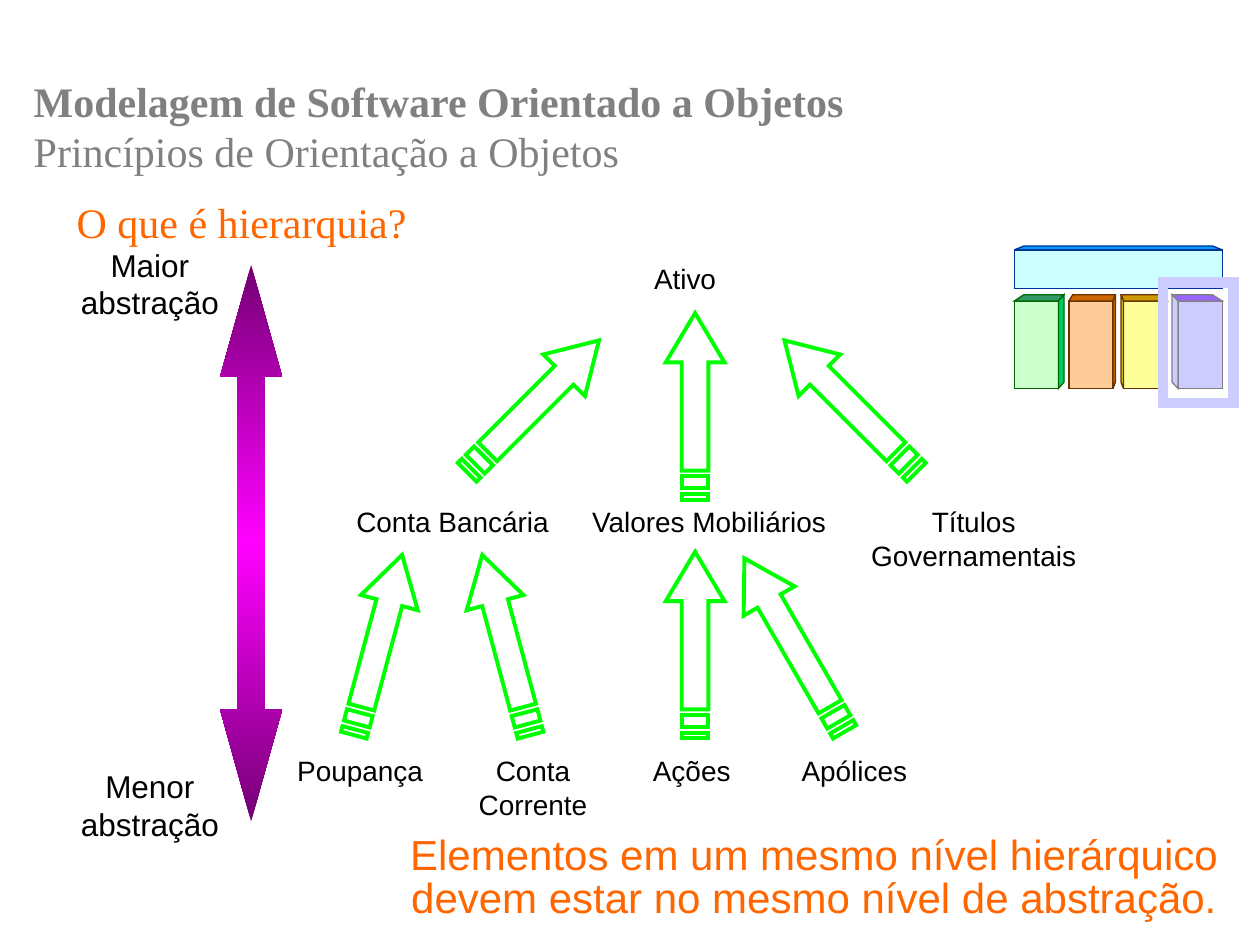
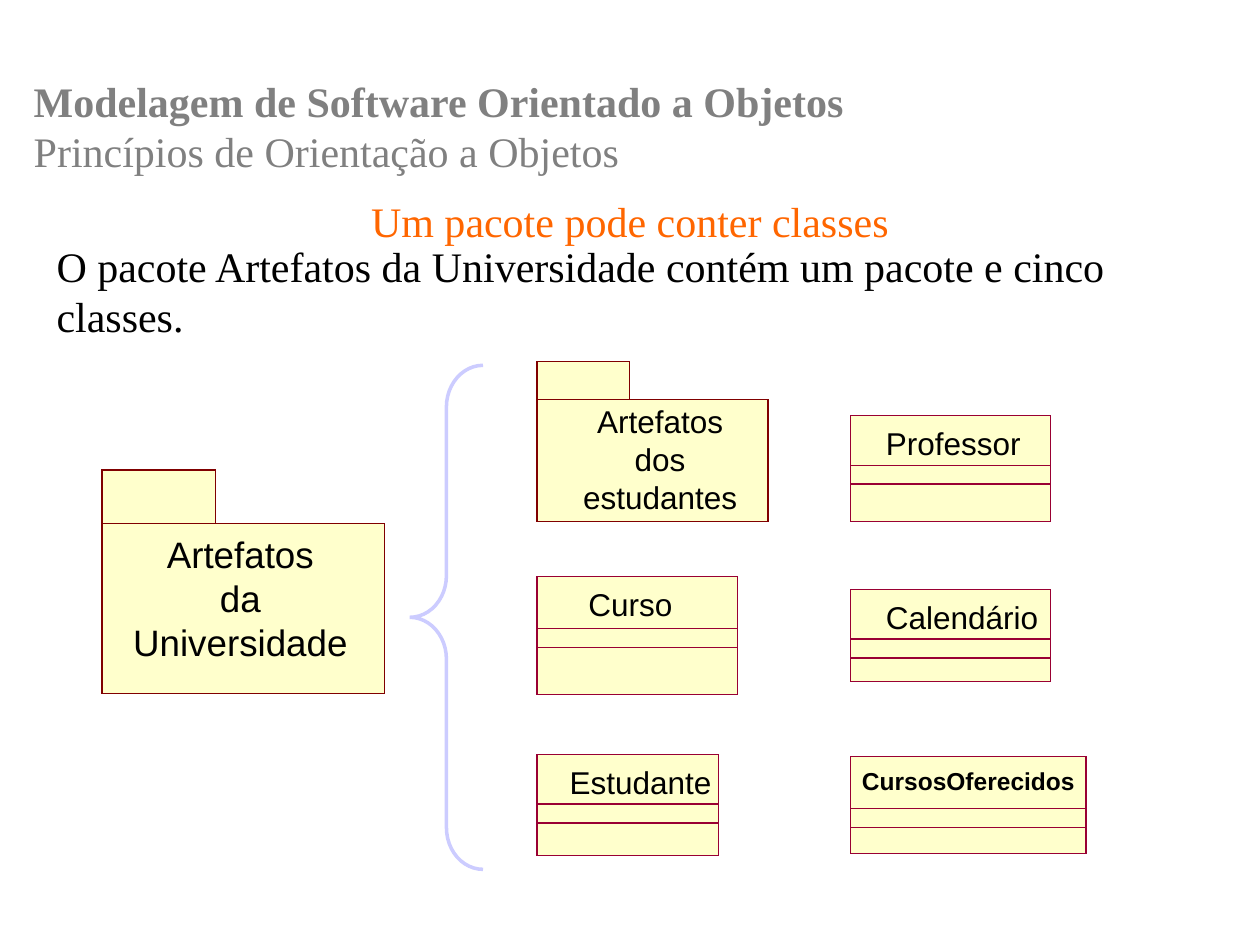
from copy import deepcopy

from lxml.etree import SubElement
from pptx import Presentation
from pptx.dml.color import RGBColor
from pptx.enum.shapes import MSO_SHAPE
from pptx.enum.text import MSO_ANCHOR, PP_ALIGN
from pptx.oxml.ns import qn
from pptx.util import Pt

COLORS = {
    "black": "000000", "white": "FFFFFF", "gray": "808080", "orange": "FF6600",
    "arrow": "00FF00", "scale_end": "750075", "scale_middle": "FF00FF",
    "lilac": "CCCCFF", "note": "FFFFCC", "package_line": "800000",
    "class_line": "990033",
}
SANS, SERIF = "Arial", "Times New Roman"


def color(name):
    """Accept a palette name or a hex string."""
    return RGBColor.from_string(COLORS.get(name, name))


# Basic elements
def add_text(page, text, left, top, width, height, size=18, font=SANS, ink="black",
             bold=False, align=PP_ALIGN.LEFT, anchor=MSO_ANCHOR.TOP,
             inset=(0, 0), spacing=None):
    box = page.shapes.add_textbox(Pt(left), Pt(top), Pt(width), Pt(height))
    frame = box.text_frame
    frame.word_wrap = True
    frame.vertical_anchor = anchor
    frame.margin_left = frame.margin_right = Pt(inset[0])
    frame.margin_top = frame.margin_bottom = Pt(inset[1])
    para = frame.paragraphs[0]
    para.text = text.replace("\n", "\v")
    para.alignment = align
    if spacing:
        para.line_spacing = spacing
    for span in para.runs:
        span.font.name = font
        span.font.size = Pt(size)
        span.font.bold = bold
        span.font.color.rgb = color(ink)
    return box


def style(shape, fill=None, line=None, weight=0):
    shape.shadow.inherit = False
    if fill:
        shape.fill.solid()
        shape.fill.fore_color.rgb = color(fill)
    else:
        shape.fill.background()
    if line:
        shape.line.color.rgb = color(line)
        shape.line.width = Pt(weight)
        # Sharp corners
        outline = shape._element.spPr.find(qn("a:ln"))
        SubElement(outline, qn("a:miter")).set("lim", "800000")
    else:
        shape.line.fill.background()


def add_preset(page, kind, left, top, width, height, **look):
    shape = page.shapes.add_shape(kind, Pt(left), Pt(top), Pt(width), Pt(height))
    style(shape, **look)
    return shape


def add_rect(page, left, top, width, height, **look):
    return add_preset(page, MSO_SHAPE.RECTANGLE, left, top, width, height, **look)


def add_outline(page, contours, **look):
    """Draw one freeform out of closed contours."""
    contours = [[(Pt(x), Pt(y)) for x, y in contour] for contour in contours]
    builder = page.shapes.build_freeform(*contours[0][0])
    for index, contour in enumerate(contours):
        if index:
            builder.move_to(*contour[0])
        builder.add_line_segments(contour[1:], close=True)
    shape = builder.convert_to_shape()
    style(shape, **look)
    return shape


def add_page(deck):
    """Add a page with the shared course title."""
    page = deck.slides.add_slide(deck.slide_layouts[6])
    box = add_text(page, "Modelagem de Software Orientado a Objetos\n"
                   "Princípios de Orientação a Objetos",
                   12.2, 29.8, 600, 84.2, size=24, font=SERIF, ink="gray",
                   anchor=MSO_ANCHOR.MIDDLE, inset=(7.2, 3.6))
    box.text_frame.paragraphs[0].runs[0].font.bold = True
    return page


# Elements of the hierarchy page
def add_block(page, left, top, width, height, front, roof, side, line,
              lean, inset, reach, depth=3.6):
    """Draw a box in perspective; lean is 1 to the right, -1 to the left."""
    look = {"line": line, "weight": 0.75}
    near, far = (left, left + width)[::lean]
    back = top - depth
    add_rect(page, left, top, width, height, fill=front, **look)
    add_outline(page, [[(near, top), (near + lean * inset, back),
                        (far + lean * reach, back), (far, top)]], fill=roof, **look)
    if side:
        bottom = top + height
        add_outline(page, [[(far + lean * reach, back), (far, top), (far, bottom),
                            (far + lean * reach, bottom - depth)]], fill=side, **look)


def add_pillars_icon(page):
    left, pitch = 579.6, 31.2
    # front, roof, side, line, lean, inset, reach
    pillars = [
        ("CCFFCC", "339966", "00CC66", "006600", 1, 5.5, 3.2),
        ("FFCC99", "CC6600", "CC6600", "663300", 1, 2.2, 1.4),
        ("FFFF99", "CC9900", "CCCC00", "663300", -1, 2.2, 1.4),
        ("CCCCFF", "9966FF", "CCCCFF", "808080", -1, 5.5, 3.4),
    ]
    for index, pillar in enumerate(pillars):
        add_block(page, left + pitch * index, 172, 25.2, 50, *pillar)
    add_block(page, left, 142.8, 118.8, 22.2, "CCFFFF", "0099FF", None, "003399",
              1, 5.5, -5.5, depth=2.2)
    add_rect(page, 664.6, 161.4, 40.2, 69, line="lilac", weight=6)


def add_striped_arrow(page, center_x, center_y, angle, length=106.6):
    """Draw a right arrow with two tail stripes and turn it."""
    half_head, half_shaft, head = 16.8, 7.6, 28.2
    tail, tip = center_x - length / 2, center_x + length / 2
    neck = tip - head
    upper, lower = center_y - half_shaft, center_y + half_shaft
    body = [(tail + 16.6, upper), (neck, upper), (neck, center_y - half_head),
            (tip, center_y), (neck, center_y + half_head), (neck, lower),
            (tail + 16.6, lower)]
    stripes = [[(tail + start, upper), (tail + end, upper),
                (tail + end, lower), (tail + start, lower)]
               for start, end in ((0, 3.3), (6.6, 13.3))]
    arrow = add_outline(page, [body, *stripes], line="arrow", weight=2.25)
    arrow.rotation = angle


def add_scale_arrow(page):
    """Draw the double arrow with long heads and a three-stop gradient."""
    center, top, bottom = 143.5, 151.4, 469.4
    half_head, half_shaft, head = 17.7, 7.9, 63.8
    right_side = [(half_head, top + head), (half_shaft, top + head),
                  (half_shaft, bottom - head), (half_head, bottom - head)]
    points = [(center, top), *((center + x, y) for x, y in right_side),
              (center, bottom), *((center - x, y) for x, y in reversed(right_side))]
    arrow = add_outline(page, [points])
    arrow.fill.gradient()
    arrow.fill.gradient_angle = 90
    first = arrow._element.spPr.find(".//" + qn("a:gs"))
    first.addnext(deepcopy(first))
    stops = ((0, "scale_end"), (0.5, "scale_middle"), (1, "scale_end"))
    for stop, (position, name) in zip(arrow.fill.gradient_stops, stops):
        stop.position = position
        stop.color.rgb = color(name)


def build_hierarchy(deck):
    page = add_page(deck)
    add_pillars_icon(page)

    # Scale of abstraction
    add_scale_arrow(page)
    for text, top in (("Maior\nabstração", 136.8), ("Menor\nabstração", 434.9)):
        add_text(page, text, 38.9, top, 93.6, 50.4, align=PP_ALIGN.CENTER,
                 inset=(0, 3.6))

    # Tree labels by level: text, centre
    levels = {
        149.3: [("Ativo", 391.5)],
        288.3: [("Conta Bancária", 258.6), ("Valores Mobiliários", 405.2),
                ("Títulos\nGovernamentais", 556.4)],
        430.6: [("Poupança", 205.8), ("Conta\nCorrente", 304.6),
                ("Ações", 395.3), ("Apólices", 488.2)],
    }
    for top, labels in levels.items():
        for text, center in labels:
            add_text(page, text, center - 75, top, 150, 38.4, size=16,
                     align=PP_ALIGN.CENTER)

    # Arrows to the parent: centre, angle, length
    for arrow in ((397.2, 232.2, 270), (304.6, 232.2, 315), (486, 232.2, 225),
                  (397.2, 368.6, 270), (454, 368.6, 240, 114.5),
                  (289.4, 368.6, 255), (216, 368.6, 285)):
        add_striped_arrow(page, *arrow)

    # Conclusion and heading
    add_rect(page, 222.5, 474.5, 485.3, 56.2, fill="white")
    add_text(page, "Elementos em um mesmo nível hierárquico devem estar no mesmo "
             "nível de abstração.", 222.5, 474.5, 485.3, 56.2, size=24, ink="orange",
             align=PP_ALIGN.CENTER, inset=(7.2, 3.6), spacing=0.85)
    add_text(page, "O que é hierarquia?", 36.7, 108.7, 489, 36, size=24, font=SERIF,
             ink="orange", inset=(7.2, 3.6))


# Elements of the package page
def add_package(page, text, left, top, width, height, tab_width, tab_height,
                label, size):
    look = {"fill": "note", "line": "package_line"}
    add_rect(page, left, top, width, height, **look)
    add_rect(page, left, top - tab_height, tab_width, tab_height, **look)
    label_left, label_top, label_width = label
    add_text(page, text, label_left, label_top, label_width, height - 5,
             size=size, align=PP_ALIGN.CENTER)


def add_class(page, name, left, top, width, height, header, indent, **text_format):
    add_rect(page, left, top, width, height, fill="note", line="class_line")
    for offset in (header, header + 10.8):
        add_rect(page, left, top + offset, width, height - offset, line="class_line")
    add_text(page, name, left + indent, top + 5, width - indent, 21.6, **text_format)


def build_package(deck):
    page = add_page(deck)
    add_text(page, "Um pacote pode conter classes", 0, 84.2, 720, 84.2, size=24,
             font=SERIF, ink="orange", align=PP_ALIGN.CENTER,
             anchor=MSO_ANCHOR.MIDDLE, inset=(7.2, 3.6))
    add_text(page, "O pacote Artefatos da Universidade contém um pacote e cinco "
             "classes.", 25.2, 133.9, 658.8, 68.4, size=24, font=SERIF,
             inset=(7.2, 3.6))

    # Packages and brace
    column, right_column = 306.9, 486
    add_package(page, "Artefatos\nda\nUniversidade", 58.4, 299.2, 161.4, 97.2,
                64.8, 30.6, (72.4, 304, 130), 21)
    add_package(page, "Artefatos\ndos\nestudantes", column, 228.4, 132, 69.6,
                52.8, 21.9, (327.2, 229.9, 100), 18)
    brace = add_preset(page, MSO_SHAPE.LEFT_BRACE, 234.2, 208.8, 41.8, 288,
                       line="lilac", weight=2)
    brace.adjustments[0] = 0.57

    # Classes: place, size, header height, label indent
    add_class(page, "Professor", right_column, 237.6, 114.5, 60.5, 28.2, 20.2)
    add_class(page, "Calendário", right_column, 337, 114.5, 52.6, 28.2, 20.2)
    add_class(page, "CursosOferecidos", right_column, 432.5, 134.6, 55.4, 29.7, 6.5,
              size=14, bold=True)
    add_class(page, "Curso", column, 329.4, 114.5, 67.5, 29.7, 29.4)
    add_class(page, "Estudante", column, 431.3, 103.7, 57.6, 28.2, 18.6)


def main():
    deck = Presentation()
    deck.slide_width, deck.slide_height = Pt(720), Pt(540)
    build_hierarchy(deck)
    build_package(deck)
    deck.save("out.pptx")


if __name__ == "__main__":
    main()
